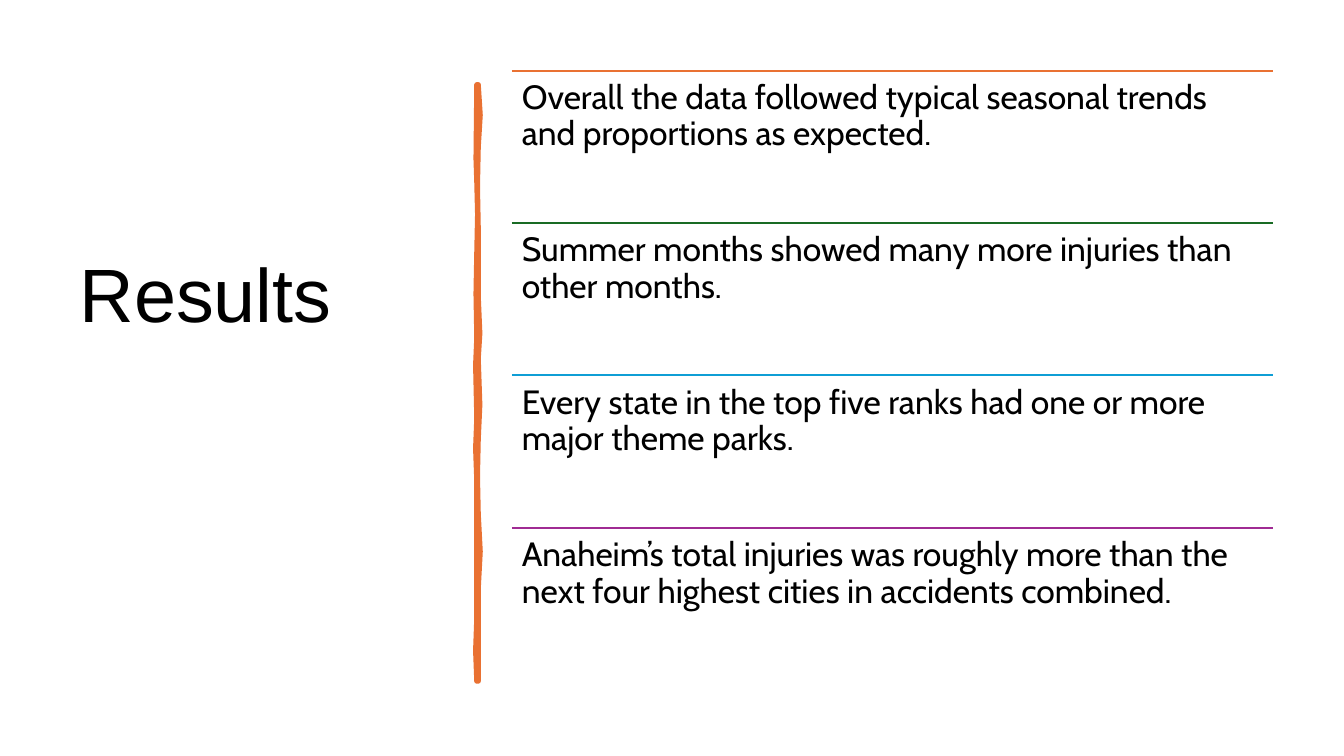
from lxml.etree import SubElement
from pptx import Presentation
from pptx.dml.color import RGBColor
from pptx.enum.shapes import MSO_CONNECTOR as Connector
from pptx.enum.text import MSO_ANCHOR as Anchor, MSO_AUTO_SIZE as AutoSize, PP_ALIGN as Align
from pptx.oxml.ns import qn
from pptx.util import Cm, Pt

COLOURS = {
    "text": "000000",
    "orange": "E97132",
    "green": "196B24",
    "blue": "0F9ED5",
    "purple": "A02B93",
}

FINDINGS = [
    ("orange", "Overall the data followed typical seasonal trends and proportions as expected."),
    ("green", "Summer months showed many more injuries than other months."),
    ("blue", "Every state in the top five ranks had one or more major theme parks."),
    ("purple", "Anaheim’s total injuries was roughly more than the next four highest "
               "cities in accidents combined."),
]
LIST_LEFT, LIST_TOP, LIST_WIDTH, ROW_HEIGHT = 12.9, 1.78, 19.18, 3.84

# Outline of the hand-drawn divider, in centimetres: down the right edge, up the left.
DIVIDER_RIGHT = [
    (12.06, 2.13), (12.11, 2.9), (12.06, 3.71), (12.04, 4.7), (12.06, 5.74),
    (12.06, 7.47), (12.1, 8.4), (12.06, 9.04), (12.1, 10.2), (12.06, 11.07),
    (12.04, 12), (12.06, 12.95), (12.11, 13.9), (12.06, 14.83), (12.06, 17.17),
]
DIVIDER_LEFT = [
    (12.01, 17.17), (11.98, 16.4), (12.01, 15.57), (12.01, 14.15), (12.01, 12.12),
    (11.98, 11.3), (12.01, 10.54), (11.98, 9.2), (12.01, 8.51), (11.99, 7.4),
    (12.01, 6.35), (12.03, 5.4), (12.01, 4.6), (11.99, 4), (12.01, 2.13),
]


def colour(name):
    return RGBColor.from_string(COLOURS[name])


def set_attributes(target, values):
    for name, value in values.items():
        setattr(target, name, value)


def write_text(shape, text, font, size, frame_format):
    frame = shape.text_frame
    set_attributes(frame, {"word_wrap": True, "auto_size": AutoSize.NONE, **frame_format})
    paragraph = frame.paragraphs[0]
    set_attributes(paragraph, {"alignment": Align.LEFT, "line_spacing": 0.9})
    run = paragraph.add_run()
    run.text = text
    set_attributes(run.font, {"name": font, "size": Pt(size)})
    run.font.color.rgb = colour("text")


def place_title(slide, text):
    title = slide.shapes.title
    set_attributes(title, {"left": Cm(1.75), "top": Cm(1.78),
                           "width": Cm(9.5), "height": Cm(15.52)})
    write_text(title, text, "Arial", 54,
               {"vertical_anchor": Anchor.MIDDLE, "margin_bottom": Cm(4.2)})


def add_divider(slide):
    start, *others = [(Cm(x), Cm(y)) for x, y in DIVIDER_RIGHT + DIVIDER_LEFT]
    builder = slide.shapes.build_freeform(*start)
    builder.add_line_segments(others, close=True)
    divider = builder.convert_to_shape()
    divider.shadow.inherit = False
    divider.fill.solid()
    divider.fill.fore_color.rgb = colour("orange")
    divider.line.color.rgb = colour("orange")
    divider.line.width = Pt(3.25)
    SubElement(divider.line._get_or_add_ln(), qn("a:round"))


def add_rule(slide, top, colour_name):
    rule = slide.shapes.add_connector(
        Connector.STRAIGHT, Cm(LIST_LEFT), Cm(top), Cm(LIST_LEFT + LIST_WIDTH), Cm(top))
    rule.line.color.rgb = colour(colour_name)
    rule.line.width = Pt(1.5)
    SubElement(rule._element.spPr, qn("a:effectLst"))


def add_finding(slide, top, text):
    box = slide.shapes.add_textbox(Cm(LIST_LEFT), Cm(top), Cm(LIST_WIDTH), Cm(ROW_HEIGHT))
    margins = {f"margin_{side}": Cm(0.25) for side in ("left", "top", "right", "bottom")}
    write_text(box, text, "Cabin", 24, {"vertical_anchor": Anchor.TOP, **margins})


def main():
    presentation = Presentation()
    set_attributes(presentation, {"slide_width": Cm(33.87), "slide_height": Cm(19.05)})
    title_only = presentation.slide_layouts[5]
    slide = presentation.slides.add_slide(title_only)
    place_title(slide, "Results")
    add_divider(slide)
    for row, (colour_name, text) in enumerate(FINDINGS):
        top = LIST_TOP + row * ROW_HEIGHT
        add_rule(slide, top, colour_name)
        add_finding(slide, top, text)
    presentation.save("out.pptx")


if __name__ == "__main__":
    main()
